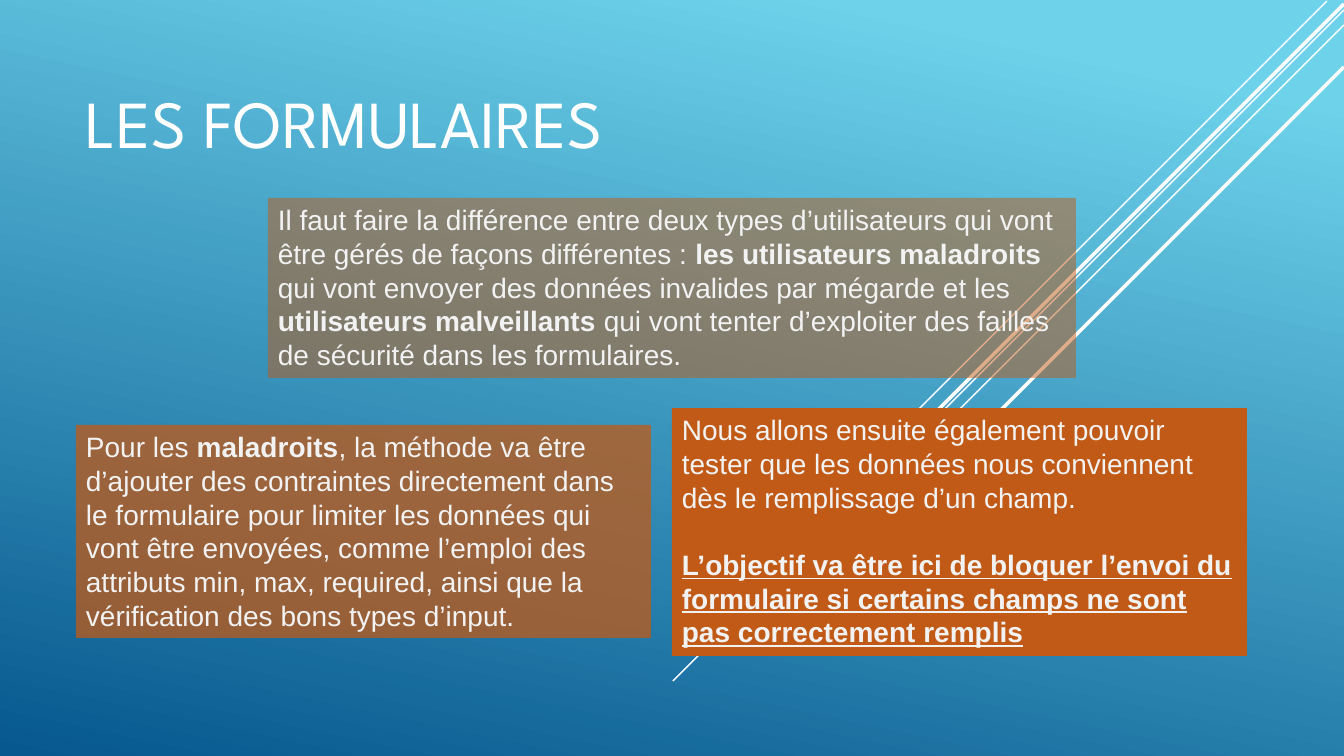
from lxml import etree
from pptx import Presentation, util as u
from pptx.dml.color import RGBColor
from pptx.enum import shapes, text
from pptx.oxml.ns import qn

PX = 914400 / 100.8


def px(*lengths):
    return [u.Emu(round(n * PX)) for n in lengths]


def rgb(value):
    return RGBColor.from_string(value)


prs = Presentation()
prs.slide_width, prs.slide_height = px(1344, 756)
s = prs.slides.add_slide(prs.slide_layouts[6])

# Background gradient
fill = s.background.fill
fill.gradient()
fill.gradient_angle = 258
for stop, (position, color) in zip(fill.gradient_stops, [(0.1, "6ED2EB"), (1, "06588E")]):
    stop.position = position
    stop.color.rgb = rgb(color)

# Diagonal lines, all at 45 degrees: right end, run, width in points
for x, y, run, width in [
    (1327, 1, 420, 1),
    (1344, 10, 671, 1),
    (1344, 25, 547, 1),
    (1344, 4, 535, 2.5),
    (1344, 67, 479, 2.5),
]:
    line = s.shapes.add_connector(shapes.MSO_CONNECTOR.STRAIGHT, *px(x, y, x - run, y + run))
    line.line.color.rgb = rgb("FFFFFF")
    line.line.width = u.Pt(width)
    etree.SubElement(line._element.spPr, qn("a:effectLst"))

# Title
tf = s.shapes.add_textbox(*px(76, 76, 882, 91)).text_frame
tf.word_wrap = True
tf.vertical_anchor = text.MSO_ANCHOR.BOTTOM
p = tf.paragraphs[0]
p.text = "LES FORMULAIRES"
p.font.name, p.font.size = "League Spartan", u.Pt(48)
p.font.color.rgb = rgb("FFFFFF")

# Text boxes: place, opacity in percent, paragraphs of (text, emphasised) runs
boxes = [
    ((268, 198, 808, 180), 50, [[
        ("Il faut faire la différence entre deux types d’utilisateurs qui vont "
         "être gérés de façons différentes : ", False),
        ("les utilisateurs maladroits", True),
        (" qui vont envoyer des données invalides par mégarde et les ", False),
        ("utilisateurs malveillants ", True),
        ("qui vont tenter d’exploiter des failles de sécurité dans les formulaires.", False),
    ]]),
    ((76, 425, 575, 213), 75, [[
        ("Pour les ", False),
        ("maladroits", True),
        (", la méthode va être d’ajouter des contraintes directement dans le formulaire "
         "pour limiter les données qui vont être envoyées, comme l’emploi des attributs "
         "min, max, required, ainsi que la vérification des bons types d’input.", False),
    ]]),
    ((672, 408, 575, 248), 100, [
        [("Nous allons ensuite également pouvoir tester que les données nous conviennent "
          "dès le remplissage d’un champ.", False)],
        [("L’objectif va être ici de bloquer l’envoi du formulaire si certains champs "
          "ne sont pas correctement remplis", True)],
    ]),
]
for place, opacity, paragraphs in boxes:
    sp = s.shapes.add_shape(shapes.MSO_SHAPE.RECTANGLE, *px(*place))
    sp.shadow.inherit = False
    sp.line.fill.background()
    sp.fill.solid()
    sp.fill.fore_color.rgb = rgb("C15A16")
    if opacity < 100:
        color = sp._element.spPr.find(f"{qn('a:solidFill')}/{qn('a:srgbClr')}")
        etree.SubElement(color, qn("a:alpha"), val=str(opacity * 1000))
    tf = sp.text_frame
    tf.word_wrap = True
    tf.vertical_anchor = text.MSO_ANCHOR.TOP
    for i, runs in enumerate(paragraphs):
        p = tf.add_paragraph() if i else tf.paragraphs[0]
        p.alignment = text.PP_ALIGN.LEFT
        p.space_before = u.Pt(24 * i)
        p.font.name, p.font.size = "Arial", u.Pt(20)
        p.font.color.rgb = rgb("F2F2F2")
        for words, emphasised in runs:
            r = p.add_run()
            r.text = words
            r.font.bold = emphasised
            r.font.underline = emphasised and i > 0

prs.save("out.pptx")
